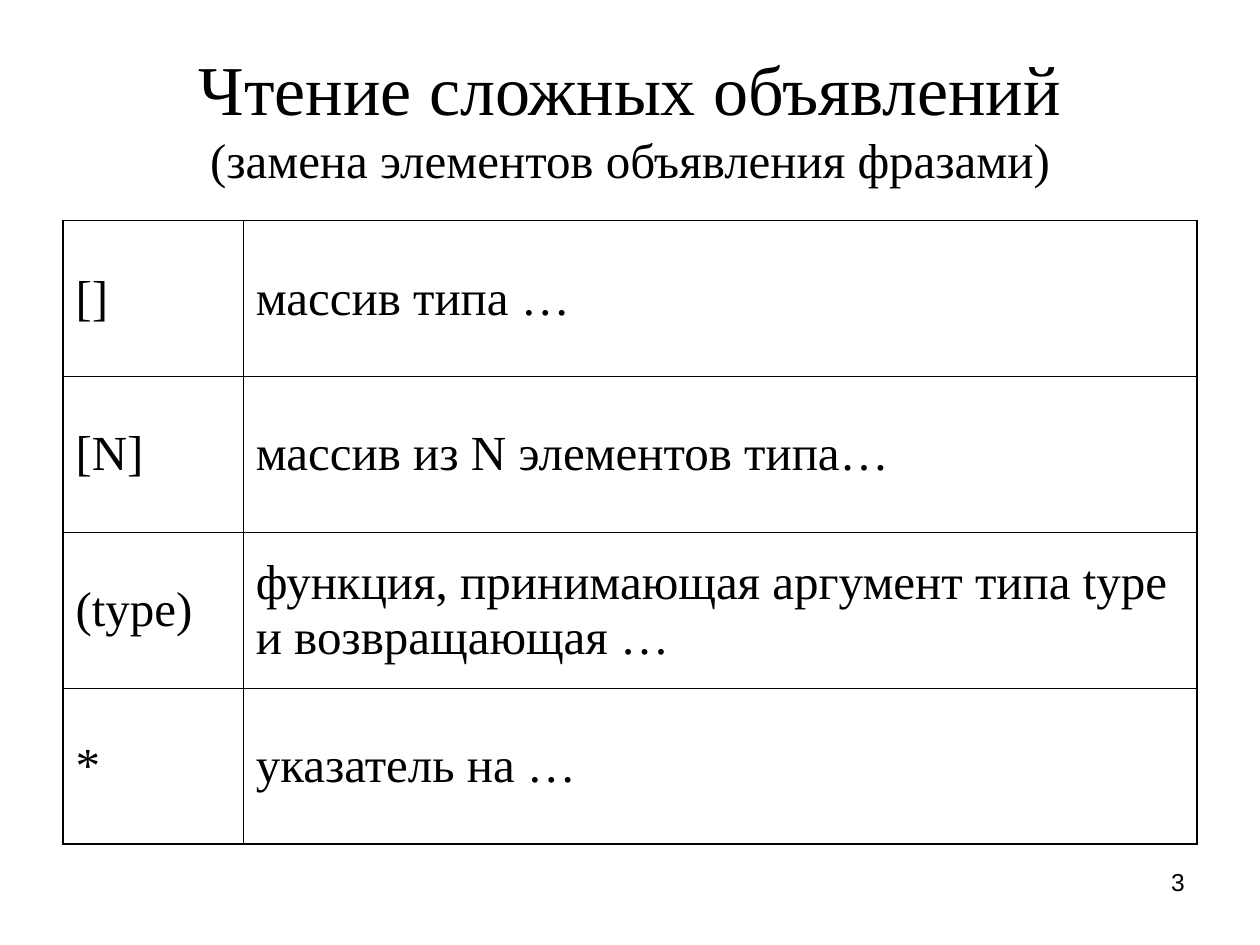
from dataclasses import dataclass

from lxml import etree
from pptx import Presentation
from pptx.dml.color import RGBColor
from pptx.enum import text
from pptx.oxml import ns
from pptx.util import Pt


@dataclass(frozen=True)
class Theme:
    ink: str = "000000"
    paper: str = "FFFFFF"
    serif: str = "Times New Roman"
    sans: str = "Arial"
    title: float = 40
    body: float = 28
    number: float = 14
    outer: float = 1.08
    inner: float = 0.45


theme = Theme()


def write(p, words, size=theme.body, font=theme.serif, align=text.PP_ALIGN.LEFT, before=0):
    """Add one run to the paragraph, on a new line if it already holds text."""
    if p.runs:
        p.add_line_break()
    p.alignment = align
    p.space_before = Pt(before)
    r = p.add_run()
    r.text = words
    r.font.size = Pt(size)
    r.font.name = font
    r.font.color.rgb = RGBColor.from_string(theme.ink)


def set_border(cell, side, width):
    ln = etree.SubElement(cell._tc.get_or_add_tcPr(), ns.qn(f"a:ln{side}"), w=str(Pt(width)))
    fill = etree.SubElement(ln, ns.qn("a:solidFill"))
    etree.SubElement(fill, ns.qn("a:srgbClr"), val=theme.ink)


prs = Presentation()
prs.slide_width, prs.slide_height = Pt(720), Pt(540)
s = prs.slides.add_slide(prs.slide_layouts[6])

# Title
sp = s.shapes.add_textbox(Pt(36), Pt(21.6), Pt(648), Pt(90))
tf = sp.text_frame
tf.word_wrap = True
tf.vertical_anchor = text.MSO_ANCHOR.MIDDLE
p = tf.paragraphs[0]
write(p, "Чтение сложных объявлений", size=theme.title, align=text.PP_ALIGN.CENTER)
write(p, "(замена элементов объявления фразами)", align=text.PP_ALIGN.CENTER)

# Declaration elements and the phrases that replace them
phrases = [
    ("[]", "массив типа …"),
    ("[N]", "массив из N элементов типа…"),
    ("(type)", "функция, принимающая аргумент типа type и возвращающая …"),
    ("*", "указатель на …"),
]
widths = [103, 545]
last_row, last_col = len(phrases) - 1, len(widths) - 1
table = s.shapes.add_table(
    len(phrases), len(widths), Pt(36), Pt(126), Pt(648), Pt(356.4)
).table
table.first_row = table.horz_banding = False
for column, width in zip(table.columns, widths):
    column.width = Pt(width)

for i, row in enumerate(phrases):
    for j, words in enumerate(row):
        cell = table.cell(i, j)
        cell.vertical_anchor = text.MSO_ANCHOR.MIDDLE
        edges = {"L": j == 0, "R": j == last_col, "T": i == 0, "B": i == last_row}
        for side, is_outer in edges.items():
            set_border(cell, side, theme.outer if is_outer else theme.inner)
        cell.fill.solid()
        cell.fill.fore_color.rgb = RGBColor.from_string(theme.paper)
        write(cell.text_frame.paragraphs[0], words, before=7)

# Slide number
sp = s.shapes.add_textbox(Pt(516), Pt(492), Pt(168), Pt(37.5))
tf = sp.text_frame
tf.word_wrap = True
write(tf.paragraphs[0], "3", size=theme.number, font=theme.sans, align=text.PP_ALIGN.RIGHT)

prs.save("out.pptx")
